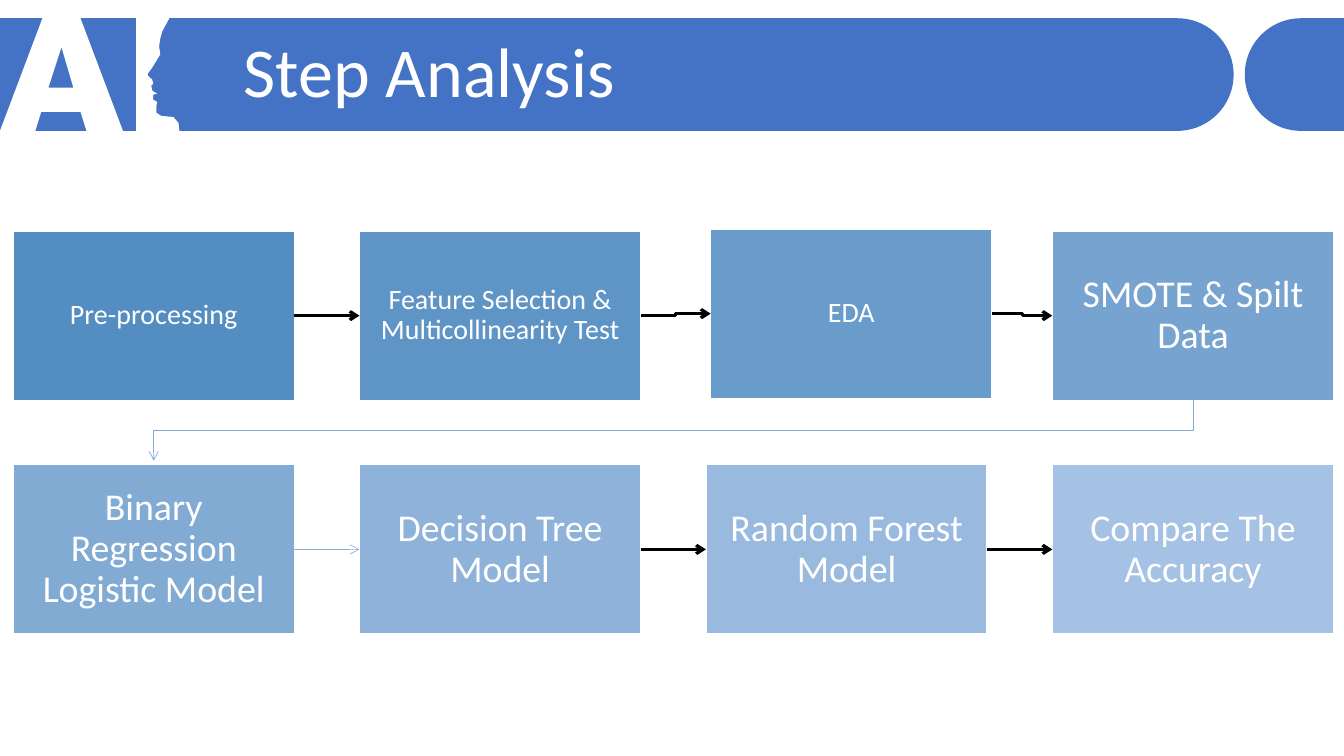
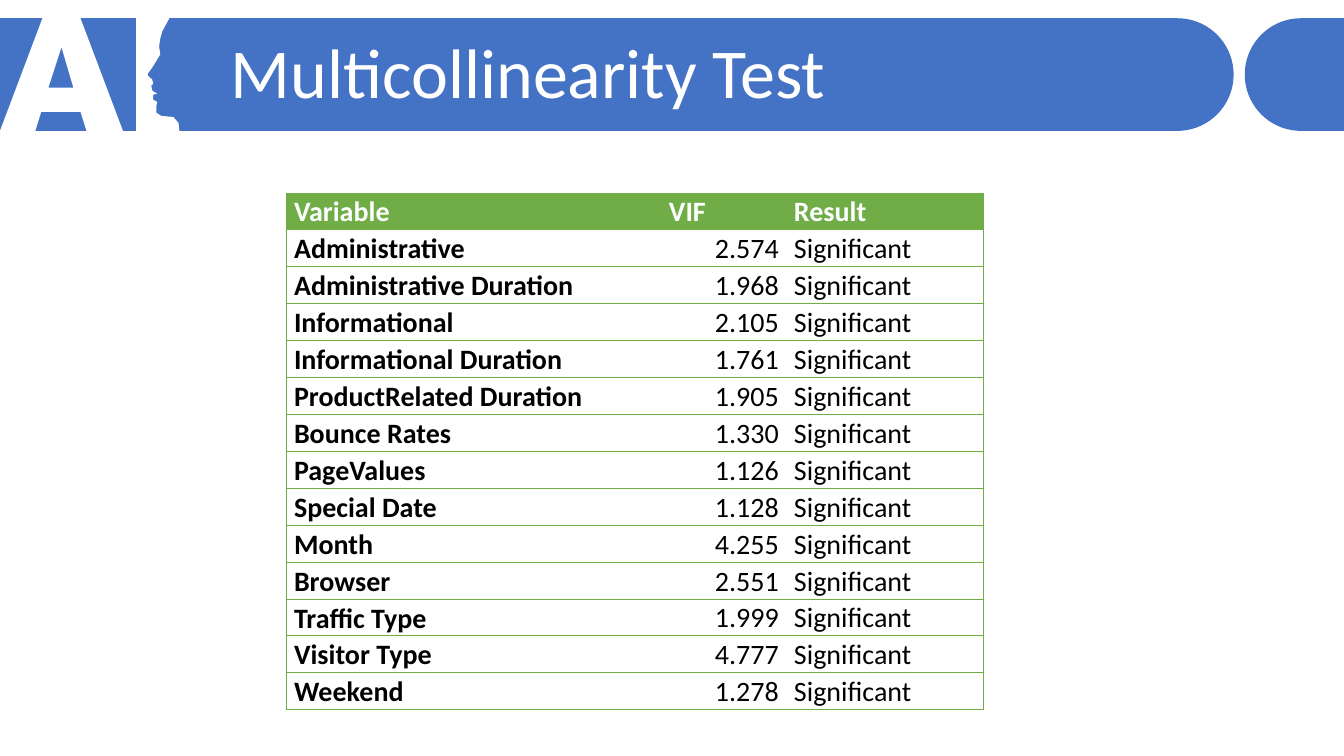
import math

from lxml import etree
from pptx import Presentation
from pptx.dml.color import RGBColor
from pptx.enum.shapes import MSO_CONNECTOR, MSO_SHAPE
from pptx.enum.text import MSO_ANCHOR, MSO_AUTO_SIZE, PP_ALIGN
from pptx.oxml.ns import qn
from pptx.util import Cm, Pt

STRAIGHT, ELBOW = MSO_CONNECTOR.STRAIGHT, MSO_CONNECTOR.ELBOW
RECTANGLE = MSO_SHAPE.RECTANGLE
TOP, MIDDLE = MSO_ANCHOR.TOP, MSO_ANCHOR.MIDDLE
NO_AUTOFIT = MSO_AUTO_SIZE.NONE
LEFT, CENTER = PP_ALIGN.LEFT, PP_ALIGN.CENTER
RIGHT, JUSTIFY = PP_ALIGN.RIGHT, PP_ALIGN.JUSTIFY
SITE_LEFT, SITE_RIGHT = 1, 3

FONT = "Calibri"
COLORS = {
    "band": "4472C4",
    "white": "FFFFFF",
    "black": "000000",
    "first_step": "538DC1",
    "last_step": "A5C1E3",
    "row_change": "7EA9D7",
    "model_start": "8BB1DB",
    "table": "70AD47",
}

# Lengths are in centimetres
SLIDE_W, SLIDE_H = 33.87, 19.05
BAND_TOP, BAND_RADIUS = 0.46, 1.42
BAND_BOTTOM = BAND_TOP + 2 * BAND_RADIUS
LETTER_A = [(1.07, BAND_TOP), (2.03, BAND_TOP), (3.1, BAND_BOTTOM),
            (2.18, BAND_BOTTOM), (2.03, 2.82), (1.04, 2.82),
            (0.89, BAND_BOTTOM), (0, BAND_BOTTOM)]
LETTER_A_HOLE = [(1.55, 1.19), (1.22, 2.21), (1.85, 2.21)]
PROFILE = [(3.43, BAND_TOP), (4.27, BAND_TOP), (4.09, 0.79), (4.04, 0.97),
           (4.01, 1.17), (4.04, 1.37), (3.84, 1.7), (3.73, 1.85),
           (3.73, 1.91), (3.84, 2.01), (3.86, 2.11), (3.81, 2.16),
           (3.84, 2.29), (3.96, 2.36), (3.86, 2.39), (3.86, 2.51),
           (3.96, 2.57), (3.94, 2.69), (3.94, 2.84), (4.06, 2.92),
           (4.37, 2.95), (4.5, 3.1), (4.52, BAND_BOTTOM),
           (3.43, BAND_BOTTOM)]

# Text, font size, inner margin, shift from the grid
STEPS = [
    ("Pre-processing", 20, 0.41, (0, 0)),
    ("Feature Selection & Multicollinearity Test", 20, 0.41, (0, 0)),
    ("EDA", 20, 0.41, (0.12, -0.05)),
    ("SMOTE & Spilt Data", 27, 0.53, (0, 0)),
    ("Binary Regression Logistic Model", 27, 0.53, (0, 0)),
    ("Decision Tree Model", 27, 0.53, (0, 0)),
    ("Random Forest Model", 27, 0.53, (0, 0)),
    ("Compare The Accuracy", 27, 0.53, (0, 0)),
]
STEPS_PER_ROW = 4
STEP_LEFT, STEP_TOP = 0.33, 5.82
STEP_W, STEP_H = 7.09, 4.27
STEP_PITCH_X, STEP_PITCH_Y = 8.73, 5.89
ARROW_GAP = 0.1

VIF_HEADER = ("Variable", "VIF", "Result")
VIF_VALUES = [
    ("Administrative", "2.574"),
    ("Administrative Duration", "1.968"),
    ("Informational", "2.105"),
    ("Informational Duration", "1.761"),
    ("ProductRelated Duration", "1.905"),
    ("Bounce Rates", "1.330"),
    ("PageValues", "1.126"),
    ("Special Date", "1.128"),
    ("Month", "4.255"),
    ("Browser", "2.551"),
    ("Traffic Type", "1.999"),
    ("Visitor Type", "4.777"),
    ("Weekend", "1.278"),
]
VIF_COLUMNS = (9.45, 3.15, 4.95)
VIF_ROW_H = 0.93


def rgb(name):
    return RGBColor.from_string(COLORS[name])


def write_text(frame, text, size=20, color="white", bold=False, align=LEFT,
               anchor=MIDDLE, spacing=1.0):
    """Fill a text frame with one formatted paragraph."""
    frame.word_wrap = True
    frame.vertical_anchor = anchor
    paragraph = frame.paragraphs[0]
    paragraph.alignment = align
    paragraph.line_spacing = spacing
    paragraph.space_before = Pt(0)
    run = paragraph.add_run()
    run.text = text
    run.font.name = FONT
    run.font.size = Pt(size)
    run.font.bold = bold
    run.font.color.rgb = rgb(color)


# Shared header
def add_outline(slide, color, *contours):
    """Draw closed contours as one filled freeform."""
    builder = None
    for contour in contours:
        points = [(Cm(x), Cm(y)) for x, y in contour]
        if builder is None:
            builder = slide.shapes.build_freeform(*points[0])
        else:
            builder.move_to(*points[0])
        builder.add_line_segments(points[1:], close=True)
    outline = builder.convert_to_shape()
    outline.shadow.inherit = False
    outline.fill.solid()
    outline.fill.fore_color.rgb = rgb(color)
    outline.line.fill.background()
    return outline


def round_ended(center_x, flat_x):
    """Band contour with a half circle at one end and a flat other end."""
    side = 1 if center_x > flat_x else -1
    angles = [math.radians(degrees) for degrees in range(-90, 91, 5)]
    arc = [(center_x + side * BAND_RADIUS * math.cos(angle),
            BAND_TOP + BAND_RADIUS * (1 + math.sin(angle)))
           for angle in angles]
    return [(flat_x, BAND_TOP), *arc, (flat_x, BAND_BOTTOM)]


def add_header_to_layout(slide):
    """Draw the header once and hand it over to the slide's layout."""
    header = [
        add_outline(slide, "band", round_ended(29.67, 0)),
        add_outline(slide, "white", LETTER_A, LETTER_A_HOLE, PROFILE),
        add_outline(slide, "band", round_ended(32.79, SLIDE_W)),
    ]
    layout_tree = slide.slide_layout.shapes.element
    for position, part in enumerate(header):
        part.element.nvSpPr.cNvPr.set("id", str(100 + position))
        layout_tree.insert(2 + position, part.element)


def set_title(slide, text, left, top):
    title = slide.shapes.title
    title.left, title.top = Cm(left), Cm(top)
    title.width, title.height = Cm(27.15), Cm(2.01)
    title.text_frame.auto_size = NO_AUTOFIT
    write_text(title.text_frame, text, size=50, spacing=0.8)


# Step flow
def step_color(index):
    """Blend evenly from the first step's colour to the last one's."""
    share = index / (len(STEPS) - 1)
    return RGBColor(*(round(a + (b - a) * share)
                      for a, b in zip(rgb("first_step"), rgb("last_step"))))


def add_step(slide, index):
    text, size, margin, (shift_x, shift_y) = STEPS[index]
    row, column = divmod(index, STEPS_PER_ROW)
    step = slide.shapes.add_shape(
        RECTANGLE,
        Cm(STEP_LEFT + column * STEP_PITCH_X + shift_x),
        Cm(STEP_TOP + row * STEP_PITCH_Y + shift_y),
        Cm(STEP_W), Cm(STEP_H))
    step.shadow.inherit = False
    step.fill.solid()
    step.fill.fore_color.rgb = step_color(index)
    step.line.color.rgb = rgb("white")
    step.line.width = Pt(1)
    frame = step.text_frame
    frame.margin_left = frame.margin_right = Cm(margin)
    frame.margin_top = frame.margin_bottom = Cm(margin)
    write_text(frame, text, size=size, align=CENTER, spacing=0.9)
    return step


def style_arrow(arrow, color, width):
    arrow.line.color.rgb = rgb(color)
    arrow.line.width = Pt(width)
    properties = arrow.element.spPr
    etree.SubElement(properties.find(qn("a:ln")), qn("a:tailEnd"), type="arrow")
    etree.SubElement(properties, qn("a:effectLst"))


def join_steps(slide, source, target, color="black", width=2.25):
    """Arrow from the right side of one step to the left side of the next."""
    kind = STRAIGHT if source.top == target.top else ELBOW
    arrow = slide.shapes.add_connector(kind, 0, 0, 0, 0)
    arrow.begin_connect(source, SITE_RIGHT)
    arrow.end_connect(target, SITE_LEFT)
    style_arrow(arrow, color, width)


def join_rows(slide, source, target):
    """Elbow from the bottom of a row's last step to the next row's first."""
    start_x, start_y = source.left + source.width // 2, source.top + source.height
    end_x, end_y = target.left + target.width // 2, target.top - Cm(ARROW_GAP)
    # A quarter turn makes the elbow leave and arrive vertically
    length, span = end_y - start_y, start_x - end_x
    left = (start_x + end_x - length) // 2
    top = (start_y + end_y - span) // 2
    arrow = slide.shapes.add_connector(ELBOW, left, top, left + length, top + span)
    arrow.rotation = 90
    style_arrow(arrow, "row_change", 0.5)


def add_step_flow(slide):
    steps = [add_step(slide, index) for index in range(len(STEPS))]
    for index, (source, target) in enumerate(zip(steps, steps[1:]), start=1):
        if index == STEPS_PER_ROW:
            join_rows(slide, source, target)
        elif index == STEPS_PER_ROW + 1:
            join_steps(slide, source, target, color="model_start", width=0.5)
        else:
            join_steps(slide, source, target)


# VIF table
def set_borders(cell, visible_sides):
    """Draw thin lines on the named sides and clear the others."""
    properties = cell._tc.get_or_add_tcPr()
    for position, side in enumerate("LRTB"):
        line = etree.Element(qn(f"a:ln{side}"), w=str(Pt(0.5)))
        if side in visible_sides:
            fill = etree.SubElement(line, qn("a:solidFill"))
            etree.SubElement(fill, qn("a:srgbClr"), val=COLORS["table"])
        else:
            etree.SubElement(line, qn("a:noFill"))
        properties.insert(position, line)


def fill_cell(cell, text, is_header, column):
    cell.margin_left = cell.margin_right = Cm(0.19)
    cell.margin_top = cell.margin_bottom = 0
    if is_header:
        cell.fill.solid()
        cell.fill.fore_color.rgb = rgb("table")
    else:
        cell.fill.background()
    write_text(cell.text_frame, text,
               color="white" if is_header else "black",
               bold=is_header or column == 0,
               align=RIGHT if column == 1 and not is_header else JUSTIFY,
               spacing=1.07)
    cell.vertical_anchor = MIDDLE if column == 0 and not is_header else TOP
    set_borders(cell, "TB" + {0: "L", 2: "R"}.get(column, ""))


def add_vif_table(slide):
    rows = [VIF_HEADER] + [(*values, "Significant") for values in VIF_VALUES]
    table = slide.shapes.add_table(
        len(rows), len(VIF_COLUMNS), Cm(7.22), Cm(4.86),
        Cm(sum(VIF_COLUMNS)), Cm(VIF_ROW_H * len(rows))).table
    table.first_row = table.horz_banding = False
    for column, width in zip(table.columns, VIF_COLUMNS):
        column.width = Cm(width)
    for row_index, texts in enumerate(rows):
        table.rows[row_index].height = Cm(VIF_ROW_H)
        for column, text in enumerate(texts):
            fill_cell(table.cell(row_index, column), text, row_index == 0, column)


def main():
    presentation = Presentation()
    presentation.slide_width, presentation.slide_height = Cm(SLIDE_W), Cm(SLIDE_H)
    title_only = presentation.slide_layouts[5]

    step_slide = presentation.slides.add_slide(title_only)
    add_header_to_layout(step_slide)
    set_title(step_slide, "Step Analysis", 5.89, 0.94)
    add_step_flow(step_slide)

    vif_slide = presentation.slides.add_slide(title_only)
    set_title(vif_slide, "Multicollinearity Test", 5.56, 0.97)
    add_vif_table(vif_slide)

    presentation.save("out.pptx")


if __name__ == "__main__":
    main()
